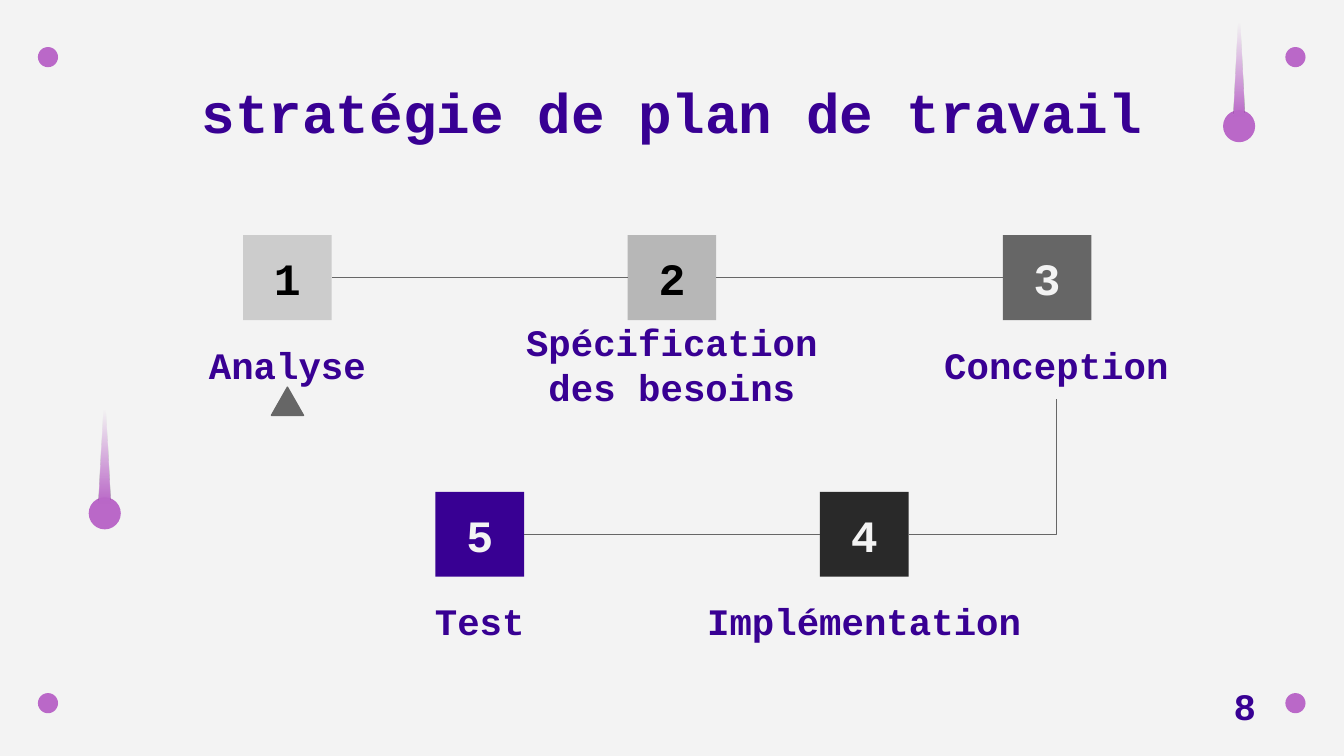
from lxml import etree
from pptx import Presentation
from pptx.dml.color import RGBColor
from pptx.enum.shapes import MSO_CONNECTOR, MSO_SHAPE
from pptx.enum.text import MSO_ANCHOR, PP_ALIGN
from pptx.oxml import parse_xml
from pptx.oxml.ns import qn
from pptx.util import Pt

STRAIGHT, ELBOW = MSO_CONNECTOR.STRAIGHT, MSO_CONNECTOR.ELBOW
RECT, OVAL, TRIANGLE = MSO_SHAPE.RECTANGLE, MSO_SHAPE.OVAL, MSO_SHAPE.ISOSCELES_TRIANGLE
CENTER, LEFT = PP_ALIGN.CENTER, PP_ALIGN.LEFT
TOP, MIDDLE, BOTTOM = MSO_ANCHOR.TOP, MSO_ANCHOR.MIDDLE, MSO_ANCHOR.BOTTOM

PURPLE = RGBColor(0x38, 0x00, 0x93)
ORCHID = RGBColor(0xBA, 0x68, 0xC8)
PALE = RGBColor(0xF3, 0xF3, 0xF3)
BLACK = RGBColor(0x00, 0x00, 0x00)
SILVER = RGBColor(0xCC, 0xCC, 0xCC)
ASH = RGBColor(0xB7, 0xB7, 0xB7)
GREY = RGBColor(0x66, 0x66, 0x66)
CHARCOAL = RGBColor(0x29, 0x29, 0x29)

FONT = "Courier New"
BOX_W, BOX_H = 47.5, 45.5
LABEL_W, LABEL_H, LABEL_DY = 198.7, 37.4, 50.4
PITCH = 206
ROW_TOPS = (126, 263.5)
STEPS = (
    ("1", "Analyse", 0, -1, 0, SILVER, BLACK),
    ("2", "Spécification des besoins", 0, 0, 0, ASH, BLACK),
    ("3", "Conception", 0, 1, -5, GREY, PALE),
    ("4", "Implémentation", 1, 0.5, 0, CHARCOAL, PALE),
    ("5", "Test", 1, -0.5, 0, PURPLE, PALE),
)


def add_shape(s, kind, x, y, w, h, color):
    """Add a flat preset shape without outline."""
    sp = s.shapes.add_shape(kind, Pt(x), Pt(y), Pt(w), Pt(h))
    sp.shadow.inherit = False
    sp.fill.solid()
    sp.fill.fore_color.rgb = color
    sp.line.fill.background()
    return sp


def set_text(sp, text, size, color, anchor=MIDDLE, align=CENTER, inset=7.2):
    """Write one bold paragraph into a shape."""
    tf = sp.text_frame
    tf.word_wrap = True
    tf.vertical_anchor = anchor
    tf.margin_left = tf.margin_right = Pt(7.2)
    tf.margin_top = tf.margin_bottom = Pt(inset)
    p = tf.paragraphs[0]
    p.text = text
    p.alignment = align
    p.font.name, p.font.size, p.font.bold = FONT, Pt(size), True
    p.font.color.rgb = color
    return p


def add_label(s, x, y, w, h, text, size, **options):
    """Add a purple text box."""
    tb = s.shapes.add_textbox(Pt(x), Pt(y), Pt(w), Pt(h))
    set_text(tb, text, size, PURPLE, **options)


def add_line(s, kind, x1, y1, x2, y2):
    """Add a thin grey connector."""
    cxn = s.shapes.add_connector(kind, Pt(x1), Pt(y1), Pt(x2), Pt(y2))
    cxn.line.color.rgb = GREY
    cxn.line.width = Pt(0.75)
    etree.SubElement(cxn._element.spPr, qn("a:effectLst"))
    return cxn


def add_comet(s, x, y):
    """Add a dot with a tail that fades upwards."""
    add_shape(s, OVAL, x, y + 59, 17.2, 17.2, ORCHID)
    tail = add_shape(s, TRIANGLE, x + 5.6, y, 6, 62.6, ORCHID)
    stops = "".join(
        f'<a:gs pos="{pos}"><a:srgbClr val="{ORCHID}"><a:alpha val="{alpha}"/></a:srgbClr></a:gs>'
        for pos, alpha in ((0, 100000), (80000, 0), (100000, 0))
    )
    grad = parse_xml(
        '<a:gradFill xmlns:a="http://schemas.openxmlformats.org/drawingml/2006/main" '
        f'rotWithShape="1"><a:gsLst>{stops}</a:gsLst><a:lin ang="16200000" scaled="0"/></a:gradFill>'
    )
    spPr = tail._element.spPr
    spPr.replace(spPr.find(qn("a:solidFill")), grad)


def add_decor(s):
    """Add the comets and the four corner dots."""
    for x, y in ((47.5, 207.4), (655.2, 0)):
        add_comet(s, x, y)
    for x in (20.3, 688.6):
        for y in (25.2, 371.3):
            add_shape(s, OVAL, x, y, 10.8, 10.8, ORCHID)


def add_step(s, cx, y, number, label, shift, fill, color):
    """Add a numbered box above its label, centred on cx."""
    add_label(s, cx - LABEL_W / 2, y + LABEL_DY, LABEL_W, LABEL_H, label, 20)
    box = add_shape(s, RECT, cx + shift - BOX_W / 2, y, BOX_W, BOX_H, fill)
    set_text(box, number, 24, color).space_after = Pt(12)
    return cx + shift


def add_flow(s, middle):
    """Add the five steps around a middle axis and join them."""
    half = BOX_W / 2
    c1, c2, c3, c4, c5 = [
        add_step(s, middle + col * PITCH, ROW_TOPS[row], number, label, shift, fill, color)
        for number, label, row, col, shift, fill, color in STEPS
    ]
    y1, y2 = [top + BOX_H / 2 for top in ROW_TOPS]
    for a, b, y in ((c1, c2, y1), (c2, c3, y1), (c5, c4, y2)):
        add_line(s, STRAIGHT, a + half, y, b - half, y)
    bend = add_line(s, ELBOW, c4 + half, y2, middle + PITCH, ROW_TOPS[0] + LABEL_DY + LABEL_H)
    bend._element.spPr.find(qn("a:prstGeom")).set("prst", "bentConnector2")
    marker = add_shape(s, TRIANGLE, c1 - 8.6, 207.4, 17.2, 15.1, GREY)
    marker.line.color.rgb = GREY
    marker.line.width = Pt(0.75)


def main():
    """Build and save the slide."""
    prs = Presentation()
    prs.slide_width, prs.slide_height = Pt(720), Pt(405)
    s = prs.slides.add_slide(prs.slide_layouts[6])
    s.background.fill.solid()
    s.background.fill.fore_color.rgb = PALE
    add_decor(s)
    add_label(s, 56.2, 42.5, 607.6, 42.5, "stratégie de plan de travail", 30, anchor=BOTTOM)
    add_flow(s, 360)
    add_label(s, 653.8, 362.2, 38.2, 31.7, "8", 20, anchor=TOP, align=LEFT, inset=3.6)
    prs.save("out.pptx")


if __name__ == "__main__":
    main()
